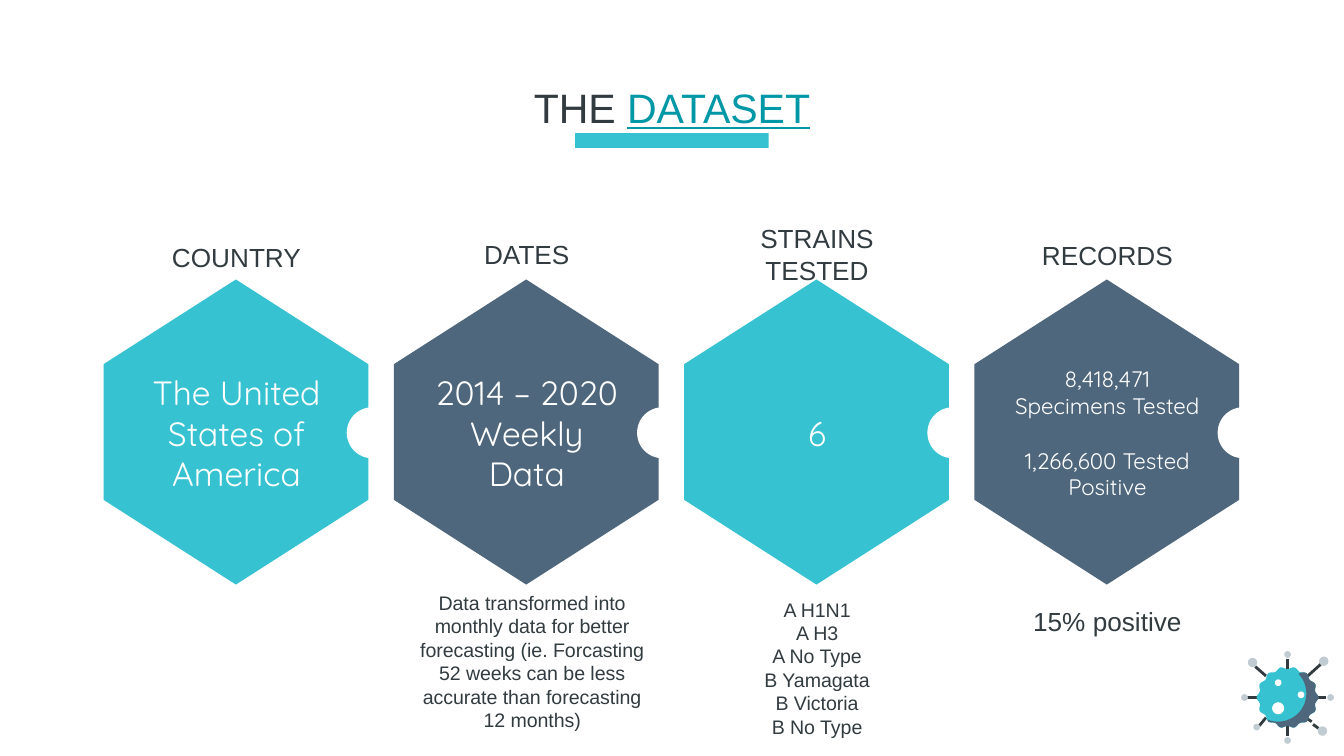
"""Build the dataset slide with four hexagons and a virus icon."""
from math import cos, radians, sin

from lxml import etree
from pptx import Presentation
from pptx.dml.color import RGBColor
from pptx.enum.shapes import MSO_CONNECTOR, MSO_SHAPE
from pptx.enum.text import MSO_ANCHOR, MSO_AUTO_SIZE, PP_ALIGN
from pptx.oxml.ns import qn
from pptx.util import Inches, Pt

HEX, PIE = MSO_SHAPE.HEXAGON, MSO_SHAPE.PIE
RECT, OVAL = MSO_SHAPE.RECTANGLE, MSO_SHAPE.OVAL
LINE = MSO_CONNECTOR.STRAIGHT
MIDDLE, CENTER = MSO_ANCHOR.MIDDLE, PP_ALIGN.CENTER
FIXED = MSO_AUTO_SIZE.NONE

THEME = {
    "aqua": RGBColor.from_string("37C2D1"),
    "slate": RGBColor.from_string("4E677C"),
    "ink": RGBColor.from_string("323C40"),
    "link": RGBColor.from_string("0097A7"),
    "grey": RGBColor.from_string("C1CBD2"),
    "white": RGBColor.from_string("FFFFFF"),
    "head": "Arial",
    "body": "Quicksand",
    "title": Pt(22),
    "big": Pt(18),
    "label": Pt(14),
    "small": Pt(12),
    "note": Pt(10.5),
}


def paint(shape, color):
    shape.shadow.inherit = False
    shape.fill.solid()
    shape.fill.fore_color.rgb = THEME[color]
    shape.line.fill.background()


def write(shape, text, size, font="head", color="ink"):
    frame = shape.text_frame
    frame.text = text
    frame.word_wrap = True
    frame.auto_size = FIXED
    frame.vertical_anchor = MIDDLE
    frame.margin_left = frame.margin_right = Inches(0.1)
    frame.margin_top = frame.margin_bottom = Inches(0.1)
    for para in frame.paragraphs:
        para.alignment = CENTER
        for run in para.runs:
            run.font.size = THEME[size]
            run.font.name = THEME[font]
            run.font.color.rgb = THEME[color]
    return frame


deck = Presentation()
deck.slide_width = Inches(10)
deck.slide_height = deck.slide_width * 9 // 16
slide = deck.slides.add_slide(deck.slide_layouts[5])
shapes = slide.shapes

bar = shapes.add_shape(RECT, Inches(4.28), Inches(0.99), Inches(1.44), Inches(0.11))
paint(bar, "aqua")

title = shapes.title
title.left, title.top = Inches(0.78), Inches(0.59)
title.width, title.height = Inches(8.44), Inches(0.41)
para = write(title, "THE ", "title").paragraphs[0]
word = para.add_run()
word.text = "DATASET"
word.font.size = THEME["title"]
word.font.name = THEME["head"]
word.font.color.rgb = THEME["link"]
word.font.underline = True

cards = [
    ("COUNTRY", 1.79, "aqua", "The United States of America", "big"),
    ("DATES", 1.77, "slate", "2014 – 2020\nWeekly Data", "big"),
    ("STRAINS TESTED", 1.77, "aqua", "6", "big"),
    ("RECORDS", 1.78, "slate",
     "8,418,471 Specimens Tested\n1,266,600 Tested Positive", "small"),
]
for i, (label, top, color, fact, size) in enumerate(cards):
    left = 0.62 + 2.16 * i
    tile = shapes.add_shape(HEX, Inches(left), Inches(2.23), Inches(2.27), Inches(1.97))
    tile.rotation = 90
    tile.adjustments[0] = 0.32
    paint(tile, color)

    box = shapes.add_textbox(Inches(left + 0.32), Inches(2.73), Inches(1.64), Inches(0.98))
    frame = write(box, fact, size, "body", "white")
    if size == "small":
        frame.paragraphs[1].space_before = Pt(15)

    notch = shapes.add_shape(PIE, Inches(left + 1.96), Inches(3.03), Inches(0.38), Inches(0.38))
    notch.rotation = 270
    notch.adjustments[0], notch.adjustments[1] = 108, 0.06
    paint(notch, "white")

    box = shapes.add_textbox(Inches(left + 0.32), Inches(top), Inches(1.64), Inches(0.24))
    write(box, label, "label")

notes = [
    (3, 4.8, 1.92, "note", "Data transformed into monthly data for better forecasting "
     "(ie. Forcasting 52 weeks can be less accurate than forecasting 12 months)"),
    (5.12, 4.85, 1.92, "note",
     "A H1N1\nA H3\nA No Type\nB Yamagata\nB Victoria\nB No Type"),
    (7.42, 4.5, 1.64, "label", "15% positive"),
]
for left, top, width, size, text in notes:
    box = shapes.add_textbox(Inches(left), Inches(top), Inches(width), Inches(0.24))
    write(box, text, size)

spikes = [
    (9.58, 4.9, 9.58, 4.98), (9.83, 4.94, 9.73, 5.03),
    (9.8, 5.19, 9.87, 5.19), (9.77, 5.39, 9.81, 5.42),
    (9.73, 5.35, 9.76, 5.37), (9.58, 5.4, 9.58, 5.48),
    (9.42, 5.34, 9.37, 5.4), (9.28, 5.19, 9.35, 5.19),
    (9.34, 4.96, 9.42, 5.03),
]
for x1, y1, x2, y2 in spikes:
    spike = shapes.add_connector(LINE, Inches(x1), Inches(y1), Inches(x2), Inches(y2))
    spike.line.color.rgb = THEME["ink"]
    spike.line.width = Pt(1.5)
    etree.SubElement(spike.element.spPr, qn("a:effectLst"))

rim = {}
for turn in range(-60, 301, 4):
    reach = 0.22 + 0.01 * cos(radians(14 * turn))
    rim[turn] = (Inches(9.58 + reach * cos(radians(turn))),
                 Inches(5.19 + reach * sin(radians(turn))))
curve = [(Inches(9.51 + 0.21 * cos(radians(turn))), Inches(5.16 + 0.21 * sin(radians(turn))))
         for turn in range(112, -47, -6)]
shade = [spot for turn, spot in rim.items() if turn <= 128] + curve
for points, color in [(list(rim.values()), "aqua"), (shade, "slate")]:
    pen = shapes.build_freeform(*points[0])
    pen.add_line_segments(points[1:])
    paint(pen.convert_to_shape(), color)

dots = [
    (9.51, 5.08, 0.05, "white"), (9.68, 5.17, 0.05, "white"),
    (9.51, 5.27, 0.09, "white"), (9.58, 4.87, 0.05, "grey"),
    (9.85, 4.92, 0.07, "grey"), (9.9, 5.19, 0.05, "grey"),
    (9.84, 5.44, 0.07, "grey"), (9.58, 5.51, 0.05, "grey"),
    (9.35, 5.41, 0.05, "grey"), (9.26, 5.19, 0.05, "grey"),
    (9.32, 4.93, 0.07, "grey"),
]
for x, y, size, color in dots:
    dot = shapes.add_shape(OVAL, Inches(x - size / 2), Inches(y - size / 2),
                           Inches(size), Inches(size))
    paint(dot, color)

deck.save("out.pptx")
